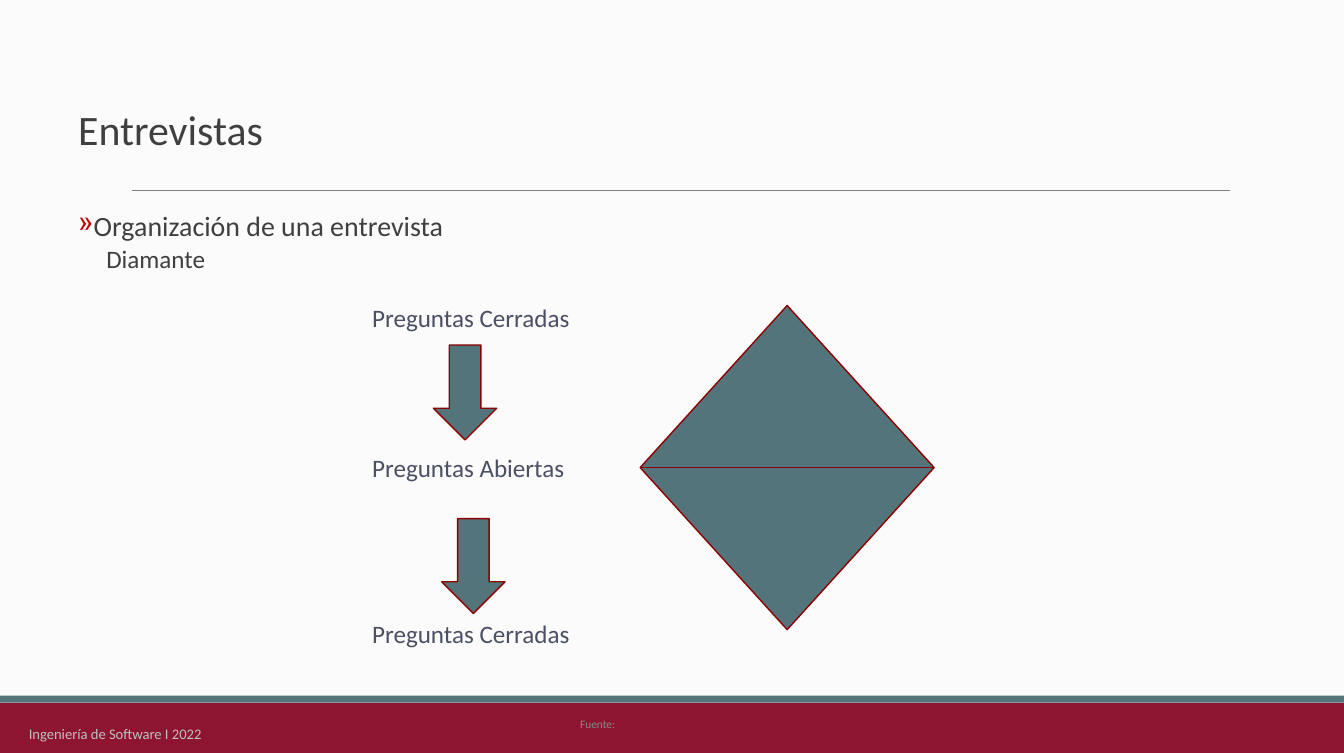
from typing import NamedTuple

from lxml.etree import SubElement
from pptx import Presentation
from pptx.dml.color import RGBColor
from pptx.enum.shapes import MSO_CONNECTOR, MSO_SHAPE
from pptx.enum.text import MSO_ANCHOR
from pptx.oxml.ns import qn
from pptx.slide import Slide
from pptx.text.text import TextFrame, _Paragraph
from pptx.util import Cm, Pt

BACKGROUND = RGBColor(0xFB, 0xFB, 0xFB)
CRIMSON = RGBColor(0x8D, 0x15, 0x32)
TEAL = RGBColor(0x54, 0x74, 0x7B)
DARK_RED = RGBColor(0x8C, 0x00, 0x00)
RULE_GRAY = RGBColor(0x7F, 0x7F, 0x7F)
SOURCE_GRAY = RGBColor(0x88, 0x88, 0x88)
FOOTER_GRAY = RGBColor(0xBF, 0xBF, 0xBF)
TEXT_GRAY = RGBColor(0x3F, 0x3F, 0x3F)
LABEL_BLUE = RGBColor(0x4B, 0x50, 0x64)
BULLET_RED = "C00000"
FONT = "Calibri"


class Box(NamedTuple):
    left: float
    top: float
    width: float
    height: float


class Figure(NamedTuple):
    kind: MSO_SHAPE
    box: Box
    fill: RGBColor
    outline: RGBColor | None = None


class Label(NamedTuple):
    text: str
    box: Box
    size: float
    color: RGBColor
    anchor: MSO_ANCHOR = MSO_ANCHOR.TOP
    line_spacing: float = 1.0


SLIDE_WIDTH, SLIDE_HEIGHT = 34.01, 19.05
LABEL_LEFT = 9.17
ARROW_SIZE = (1.6, 2.4)

FIGURES = [
    Figure(MSO_SHAPE.RECTANGLE, Box(0, 17.78, SLIDE_WIDTH, 1.27), CRIMSON),
    Figure(MSO_SHAPE.RECTANGLE, Box(0, 17.6, SLIDE_WIDTH, 0.18), TEAL),
    Figure(MSO_SHAPE.DOWN_ARROW, Box(10.97, 8.73, *ARROW_SIZE), TEAL, DARK_RED),
    Figure(MSO_SHAPE.DOWN_ARROW, Box(11.18, 13.12, *ARROW_SIZE), TEAL, DARK_RED),
    Figure(MSO_SHAPE.FLOWCHART_SORT, Box(16.2, 7.73, 7.44, 8.2), TEAL, DARK_RED),
]

QUESTIONS = [
    ("Preguntas Cerradas", 7.52),
    ("Preguntas Abiertas", 11.33),
    ("Preguntas Cerradas", 15.52),
]

LABELS = [
    Label("Entrevistas", Box(1.73, 1.78, 30.05, 3.15), 30, TEXT_GRAY,
          MSO_ANCHOR.MIDDLE, 0.85),
    Label("Fuente:", Box(14.43, 18.01, 1.85, 0.61), 8.2, SOURCE_GRAY),
    Label("Ingeniería de Software I 2022", Box(0.48, 18.21, 6.02, 0.58), 10.5,
          FOOTER_GRAY),
    *(Label(text, Box(LABEL_LEFT, top, 5.54, 1.8), 18, LABEL_BLUE)
      for text, top in QUESTIONS),
]
BODY_BOX = Box(1.73, 5.28, 27.3, 12.3)


def place(box: Box) -> list[Cm]:
    return [Cm(length) for length in box]


def format_paragraph(paragraph: _Paragraph, size: float, color: RGBColor,
                     line_spacing: float) -> None:
    paragraph.line_spacing = line_spacing
    for run in paragraph.runs:
        run.font.name = FONT
        run.font.size = Pt(size)
        run.font.color.rgb = color


def add_figure(slide: Slide, figure: Figure) -> None:
    shape = slide.shapes.add_shape(figure.kind, *place(figure.box))
    shape.shadow.inherit = False
    shape.fill.solid()
    shape.fill.fore_color.rgb = figure.fill
    if figure.outline is None:
        shape.line.fill.background()
    else:
        shape.line.color.rgb = figure.outline
        shape.line.width = Pt(1)


def add_text_frame(slide: Slide, box: Box) -> TextFrame:
    text_frame = slide.shapes.add_textbox(*place(box)).text_frame
    text_frame.word_wrap = True
    return text_frame


def add_label(slide: Slide, label: Label) -> None:
    text_frame = add_text_frame(slide, label.box)
    text_frame.vertical_anchor = label.anchor
    text_frame.text = label.text
    format_paragraph(text_frame.paragraphs[0], label.size, label.color,
                     label.line_spacing)


def add_body(slide: Slide) -> None:
    text_frame = add_text_frame(slide, BODY_BOX)
    text_frame.text = "Organización de una entrevista"
    heading = text_frame.paragraphs[0]
    properties = heading._p.get_or_add_pPr()
    properties.set("marL", str(Cm(0.18)))
    properties.set("indent", str(Cm(-0.3)))
    bullet_color = SubElement(properties, qn("a:buClr"))
    SubElement(bullet_color, qn("a:srgbClr"), val=BULLET_RED)
    SubElement(properties, qn("a:buChar"), char="»")
    format_paragraph(heading, 20, TEXT_GRAY, 0.85)

    detail = text_frame.add_paragraph()
    detail.text = "Diamante"
    detail.level = 1
    properties = detail._p.get_or_add_pPr()
    properties.set("marL", str(Cm(0.71)))
    properties.set("indent", "0")
    detail.space_before = Pt(4.5)
    format_paragraph(detail, 18, TEXT_GRAY, 0.85)


def add_title_rule(slide: Slide) -> None:
    rule = slide.shapes.add_connector(
        MSO_CONNECTOR.STRAIGHT, Cm(3.33), Cm(4.83), Cm(31.12), Cm(4.83))
    rule.line.color.rgb = RULE_GRAY
    rule.line.width = Pt(0.75)
    SubElement(rule._element.spPr, qn("a:effectLst"))


def main() -> None:
    presentation = Presentation()
    presentation.slide_width = Cm(SLIDE_WIDTH)
    presentation.slide_height = Cm(SLIDE_HEIGHT)
    slide = presentation.slides.add_slide(presentation.slide_layouts[6])
    slide.background.fill.solid()
    slide.background.fill.fore_color.rgb = BACKGROUND

    for figure in FIGURES:
        add_figure(slide, figure)
    add_title_rule(slide)
    for label in LABELS:
        add_label(slide, label)
    add_body(slide)
    presentation.save("out.pptx")


if __name__ == "__main__":
    main()
